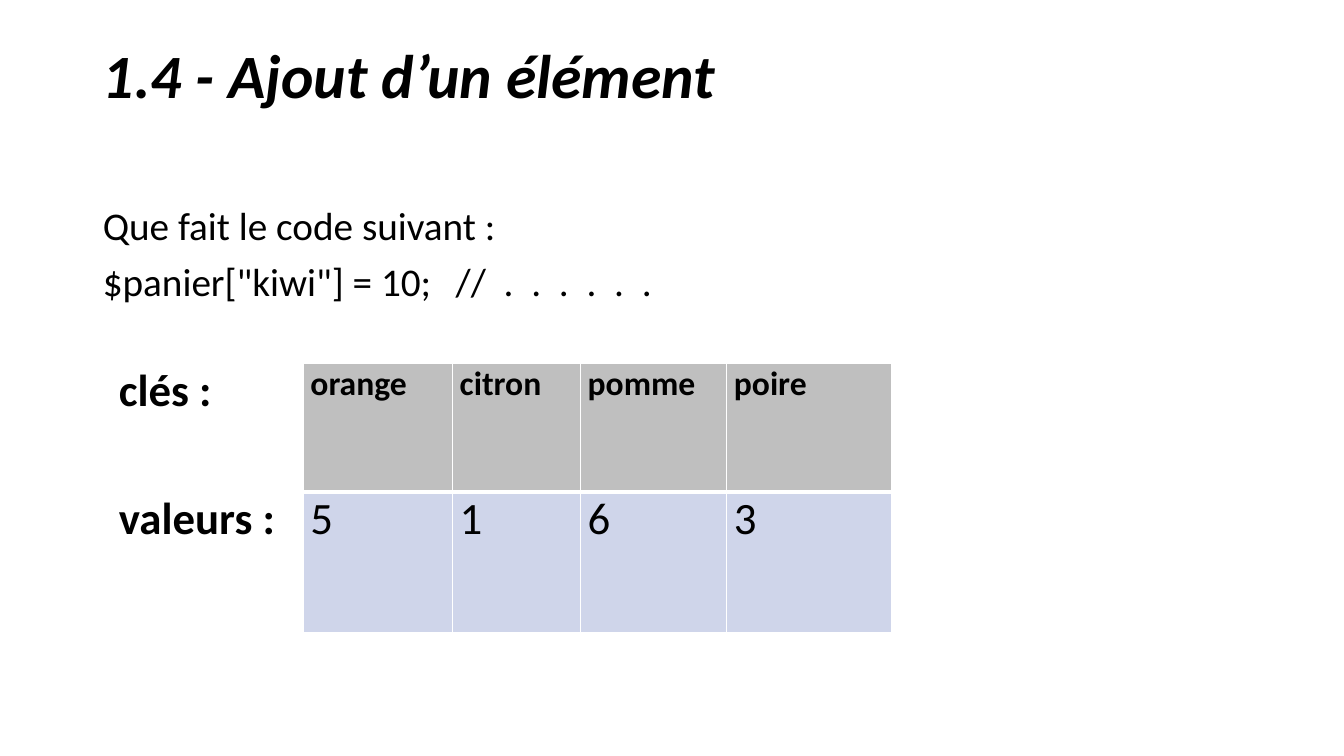
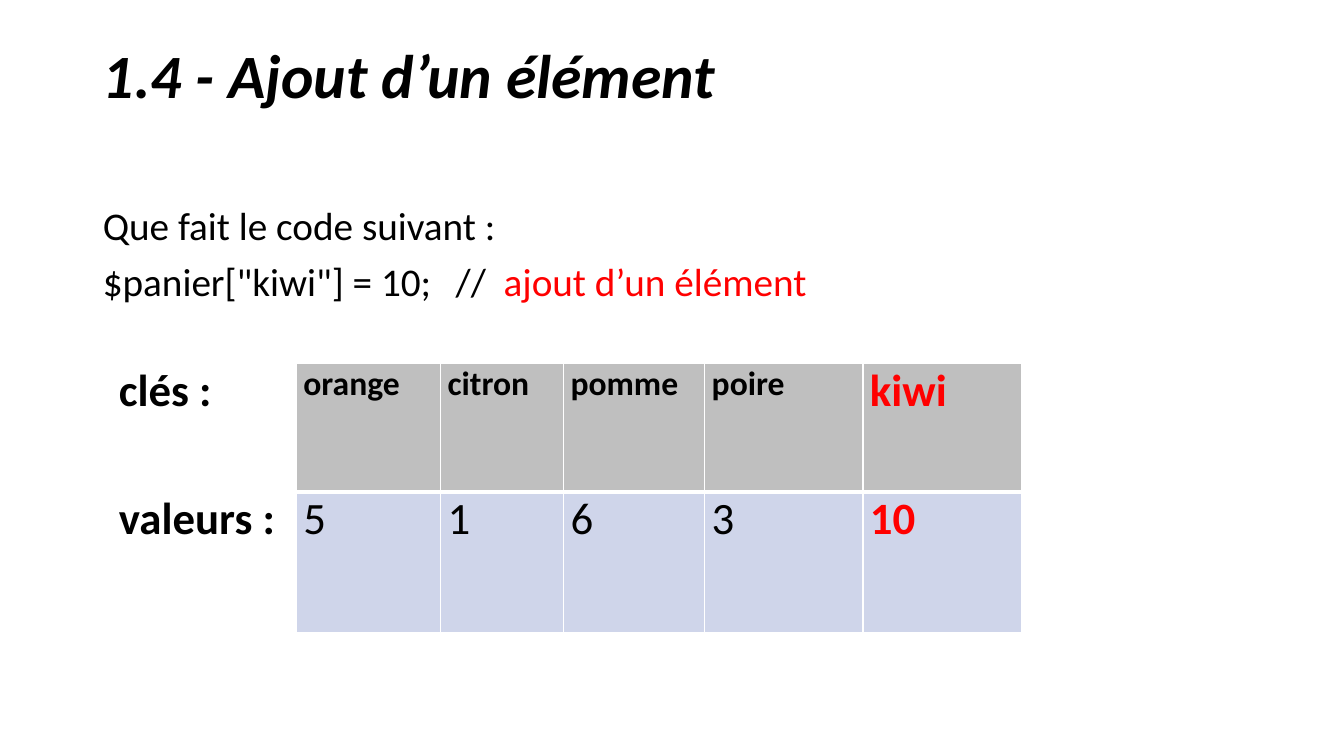
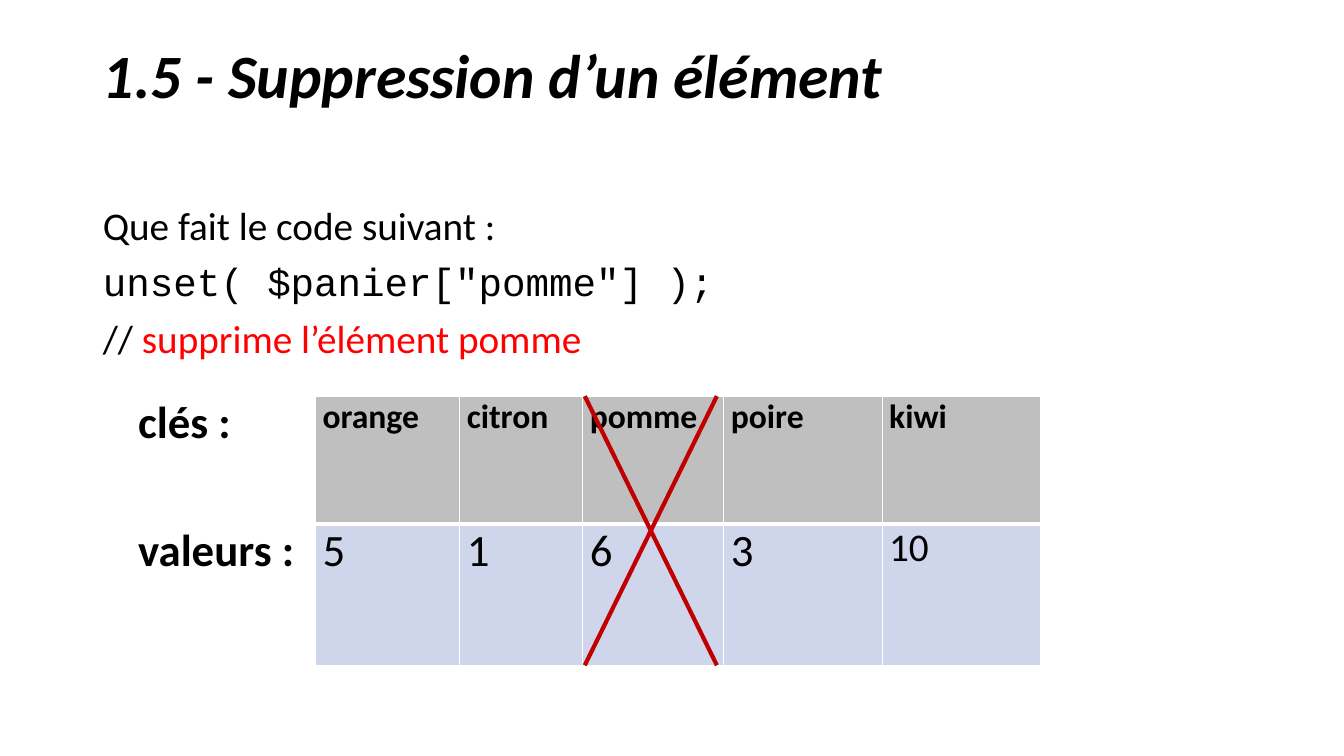
import lxml.etree
import pptx
import pptx.dml.color
import pptx.enum.shapes
import pptx.enum.text
import pptx.oxml.ns
import pptx.util

Inches = pptx.util.Inches
Pt = pptx.util.Pt
qn = pptx.oxml.ns.qn

COLORS = {
    "text": "000000",
    "answer": "FF0000",
    "cross": "C00000",
    "keys": "BFBFBF",
    "values": "CFD5EA",
    "border": "FFFFFF",
}
FONT = "Calibri"
CODE_FONT = "Courier New"
COMMENT_TAB = 4.92
ROW_HEIGHTS = (1.27, 1.4)
BASKET = {"orange": "5", "citron": "1", "pomme": "6", "poire": "3"}
FOUR_COLUMNS = (1.9, 1.48, 1.27, 1.45, 1.63)
FIVE_COLUMNS = (1.83, 1.43, 1.22, 1.4, 1.57, 1.57)

QUESTION = [("Que fait le code suivant :", {})]
ADDING_CODE = '$panier["kiwi"] = 10;\t//  '
ANSWER = {"color": "answer"}


def rgb(name):
    return pptx.dml.color.RGBColor.from_string(COLORS[name])


def add_run(para, text, size, font=FONT, color="text", bold=False, italic=False):
    run = para.add_run()
    run.text = text
    run.font.name = font
    run.font.size = Pt(size)
    run.font.bold = bold
    run.font.italic = italic
    run.font.color.rgb = rgb(color)


def prepare_layout(deck):
    """Place the title and body once, for every slide to inherit."""
    layout = deck.slide_layouts[1]
    for index, top, height in ((0, 0.4, 1.45), (1, 2, 4.76)):
        holder = layout.placeholders[index]
        holder.left, holder.top = Inches(0.92), Inches(top)
        holder.width, holder.height = Inches(11.5), Inches(height)
        frame = holder.text_frame
        frame.vertical_anchor = pptx.enum.text.MSO_ANCHOR.TOP
        frame.auto_size = pptx.enum.text.MSO_AUTO_SIZE.NONE
    return layout


def add_title(slide, text):
    para = slide.shapes.title.text_frame.paragraphs[0]
    para.alignment = pptx.enum.text.PP_ALIGN.LEFT
    para.line_spacing = 0.9
    add_run(para, text, 44, bold=True, italic=True)


def remove_bullet(para, tab):
    """Drop bullet and indent, and set the stop that aligns comments."""
    properties = para._p.get_or_add_pPr()
    properties.set("marL", "0")
    properties.set("indent", "0")
    lxml.etree.SubElement(properties, qn("a:buNone"))
    stops = lxml.etree.SubElement(properties, qn("a:tabLst"))
    lxml.etree.SubElement(stops, qn("a:tab"), pos=str(Inches(tab)), algn="l")


def add_body(slide, lines):
    frame = slide.placeholders[1].text_frame
    for number, runs in enumerate(lines):
        para = frame.add_paragraph() if number else frame.paragraphs[0]
        para.line_spacing = 0.9
        para.space_before = Pt(10)
        remove_bullet(para, COMMENT_TAB)
        for text, style in runs:
            add_run(para, text, 28, **style)


def set_borders(cell, top, bottom):
    properties = cell._tc.get_or_add_tcPr()
    for side, points in (("L", 1), ("R", 1), ("T", top), ("B", bottom)):
        line = lxml.etree.SubElement(properties, qn(f"a:ln{side}"), w=str(Pt(points)))
        fill = lxml.etree.SubElement(line, qn("a:solidFill"))
        lxml.etree.SubElement(fill, qn("a:srgbClr"), val=COLORS["border"])


def fill_cell(cell, text, row, is_label, style):
    set_borders(cell, *((1, 3), (3, 1))[row])
    if is_label:
        cell.fill.background()
    else:
        cell.fill.solid()
        cell.fill.fore_color.rgb = rgb(("keys", "values")[row])
    cell.margin_left = cell.margin_right = Inches(0.07)
    cell.margin_top = cell.margin_bottom = 0
    para = cell.text_frame.paragraphs[0]
    para.alignment = pptx.enum.text.PP_ALIGN.JUSTIFY
    is_key = row == 0 and not is_label
    add_run(para, text, **{"size": 24 if is_key else 32,
                           "bold": is_label or is_key, **style})


def add_basket(slide, left, top, widths, basket, styles=None):
    """Draw keys over values; styles maps (row, key) to run formatting."""
    styles = styles or {}
    frame = slide.shapes.add_table(2, len(widths), Inches(left), Inches(top),
                                   Inches(sum(widths)), Inches(sum(ROW_HEIGHTS)))
    table = frame.table
    table.first_row = table.horz_banding = False
    for column, width in zip(table.columns, widths):
        column.width = Inches(width)
    for row, height in zip(table.rows, ROW_HEIGHTS):
        row.height = Inches(height)
    for column, entry in enumerate([("clés :", "valeurs :"), *basket.items()]):
        for row, text in enumerate(entry):
            fill_cell(table.cell(row, column), text, row, column == 0,
                      styles.get((row, entry[0]), {}))


def add_cross(slide, left, right, top, bottom):
    for start, end in ((top, bottom), (bottom, top)):
        line = slide.shapes.add_connector(
            pptx.enum.shapes.MSO_CONNECTOR.STRAIGHT,
            Inches(left), Inches(start), Inches(right), Inches(end))
        line.line.color.rgb = rgb("cross")
        line.line.width = Pt(3)
        lxml.etree.SubElement(line._element.spPr, qn("a:effectLst"))


def add_lesson(deck, layout, title, lines):
    slide = deck.slides.add_slide(layout)
    add_title(slide, title)
    add_body(slide, [QUESTION, *lines])
    return slide


def main():
    deck = pptx.Presentation()
    deck.slide_width, deck.slide_height = Inches(13.33), Inches(7.5)
    layout = prepare_layout(deck)
    adding = "1.4 - Ajout d’un élément"
    full_basket = {**BASKET, "kiwi": "10"}

    slide = add_lesson(deck, layout, adding,
                       [[(ADDING_CODE + ".  .  .  .  .  .", {})]])
    add_basket(slide, 1.11, 3.61, FOUR_COLUMNS, BASKET)

    slide = add_lesson(deck, layout, adding,
                       [[(ADDING_CODE, {}), ("ajout d’un élément", ANSWER)]])
    added = {"size": 32, "bold": True, **ANSWER}
    add_basket(slide, 1.11, 3.61, FIVE_COLUMNS, full_basket,
               {(0, "kiwi"): added, (1, "kiwi"): added})

    slide = add_lesson(deck, layout, "1.5 - Suppression d’un élément", [
        [('unset( $panier["pomme"] );', {"font": CODE_FONT})],
        [("// ", {}), ("supprime l’élément pomme", ANSWER)],
    ])
    add_basket(slide, 1.3, 3.93, FIVE_COLUMNS, full_basket,
               {(1, "kiwi"): {"size": 28}})
    add_cross(slide, 5.8, 7.11, 3.93, 6.6)

    deck.save("out.pptx")


if __name__ == "__main__":
    main()
